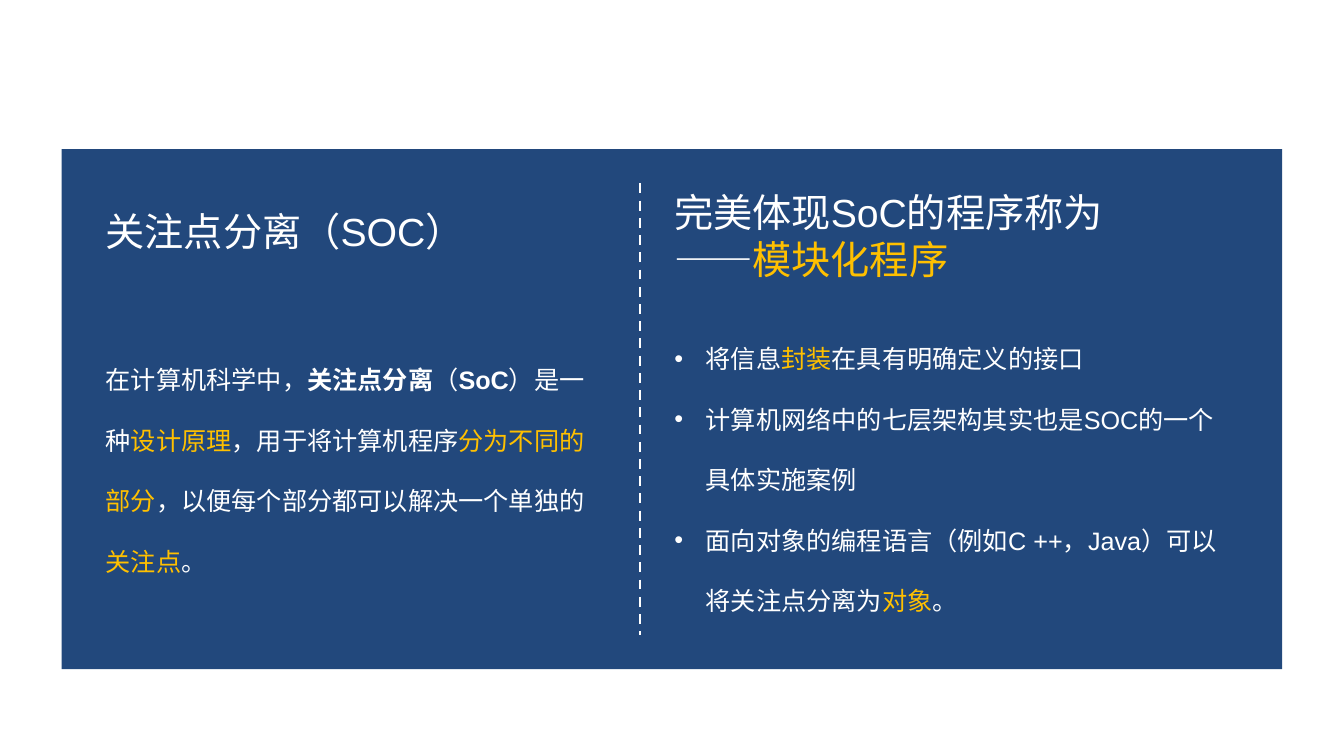
import lxml.etree
import pptx
import pptx.dml.color
import pptx.enum.dml
import pptx.enum.shapes
import pptx.enum.text
import pptx.oxml.ns
import pptx.util

WHITE, GOLD, NAVY = "FFFFFF", "FFC000", "22487C"
HIGHLIGHT = {"color": GOLD}
BOLD = {"bold": True}


def color(value):
    return pptx.dml.color.RGBColor.from_string(value)


class SlideBuilder:
    base = {"name": "Arial", "bold": False, "color": WHITE}
    bullet_indent = pptx.util.Pt(22.5)

    def __init__(self, presentation):
        self.width = presentation.slide_width
        self.height = presentation.slide_height
        self.slide = presentation.slides.add_slide(presentation.slide_layouts[6])

    def across(self, percent):
        return round(self.width * percent / 100)

    def down(self, percent):
        return round(self.height * percent / 100)

    def box(self, left, top, width, height):
        return self.across(left), self.down(top), self.across(width), self.down(height)

    def panel(self, *area, fill):
        shape = self.slide.shapes.add_shape(
            pptx.enum.shapes.MSO_SHAPE.RECTANGLE, *self.box(*area))
        shape.shadow.inherit = False
        shape.fill.solid()
        shape.fill.fore_color.rgb = color(fill)
        shape.line.fill.background()

    def divider(self, left, top, bottom):
        connector = self.slide.shapes.add_connector(
            pptx.enum.shapes.MSO_CONNECTOR.STRAIGHT,
            self.across(left), self.down(top), self.across(left), self.down(bottom))
        connector.line.color.rgb = color(WHITE)
        connector.line.width = pptx.util.Pt(1.75)
        connector.line.dash_style = pptx.enum.dml.MSO_LINE.DASH
        lxml.etree.SubElement(connector._element.spPr, pptx.oxml.ns.qn("a:effectLst"))

    def bullet(self, paragraph):
        properties = paragraph._p.get_or_add_pPr()
        properties.set("marL", str(self.bullet_indent))
        properties.set("indent", str(-self.bullet_indent))
        for tag, key, value in (("a:buFont", "typeface", "Arial"),
                                ("a:buChar", "char", "•")):
            lxml.etree.SubElement(properties, pptx.oxml.ns.qn(tag)).set(key, value)

    def run(self, paragraph, text, style):
        font = paragraph.add_run().font
        paragraph.runs[-1].text = text
        for key, value in {**self.base, **style}.items():
            if key == "color":
                font.color.rgb = color(value)
            else:
                setattr(font, key, value)

    def text(self, *area, paragraphs, size, spacing=None, bulleted=False):
        frame = self.slide.shapes.add_textbox(*self.box(*area)).text_frame
        frame.word_wrap = True
        frame.auto_size = pptx.enum.text.MSO_AUTO_SIZE.SHAPE_TO_FIT_TEXT
        for index, runs in enumerate(paragraphs):
            paragraph = frame.add_paragraph() if index else frame.paragraphs[0]
            if bulleted:
                self.bullet(paragraph)
            paragraph.line_spacing = spacing
            for text, style in runs:
                self.run(paragraph, text, {"size": pptx.util.Pt(size), **style})

    def heading(self, *area, paragraphs):
        self.text(*area, paragraphs=paragraphs, size=28)

    def body(self, *area, paragraphs, bulleted=False):
        self.text(*area, paragraphs=paragraphs, size=18, spacing=2.0, bulleted=bulleted)


def main():
    presentation = pptx.Presentation()
    presentation.slide_width = pptx.util.Inches(13.333)
    presentation.slide_height = pptx.util.Inches(7.5)
    builder = SlideBuilder(presentation)
    left_column, right_column = 7.13, 49.43

    builder.panel(4.58, 19.73, 90.82, 68.8, fill=NAVY)
    builder.divider(47.63, 24.27, 84)
    builder.heading(left_column, 26.8, 40.5, 7.6, paragraphs=[
        [("关注点分离（SOC）", {})],
    ])
    builder.body(left_column, 43.6, 37.5, 32.4, paragraphs=[[
        ("在计算机科学中，", {}),
        ("关注点分离", BOLD),
        ("（", {}),
        ("SoC", BOLD),
        ("）是一种", {}),
        ("设计原理", HIGHLIGHT),
        ("，用于将计算机程序", {}),
        ("分为不同的部分", HIGHLIGHT),
        ("，以便每个部分都可以解决一个单独的", {}),
        ("关注点", HIGHLIGHT),
        ("。", {}),
    ]])
    builder.heading(right_column, 24.27, 43.28, 13.87, paragraphs=[
        [("完美体现SoC的程序称为", {})],
        [("——", {}), ("模块化程序", HIGHLIGHT)],
    ])
    builder.body(right_column, 40.8, 43.05, 40.53, bulleted=True, paragraphs=[
        [("将信息", {}), ("封装", HIGHLIGHT), ("在具有明确定义的接口", {})],
        [("计算机网络中的七层架构其实也是SOC的一个具体实施案例", {})],
        [("面向对象的编程语言（例如C ++，Java）可以将关注点分离为", {}),
         ("对象", HIGHLIGHT), ("。", {})],
    ])
    presentation.save("out.pptx")


if __name__ == "__main__":
    main()
